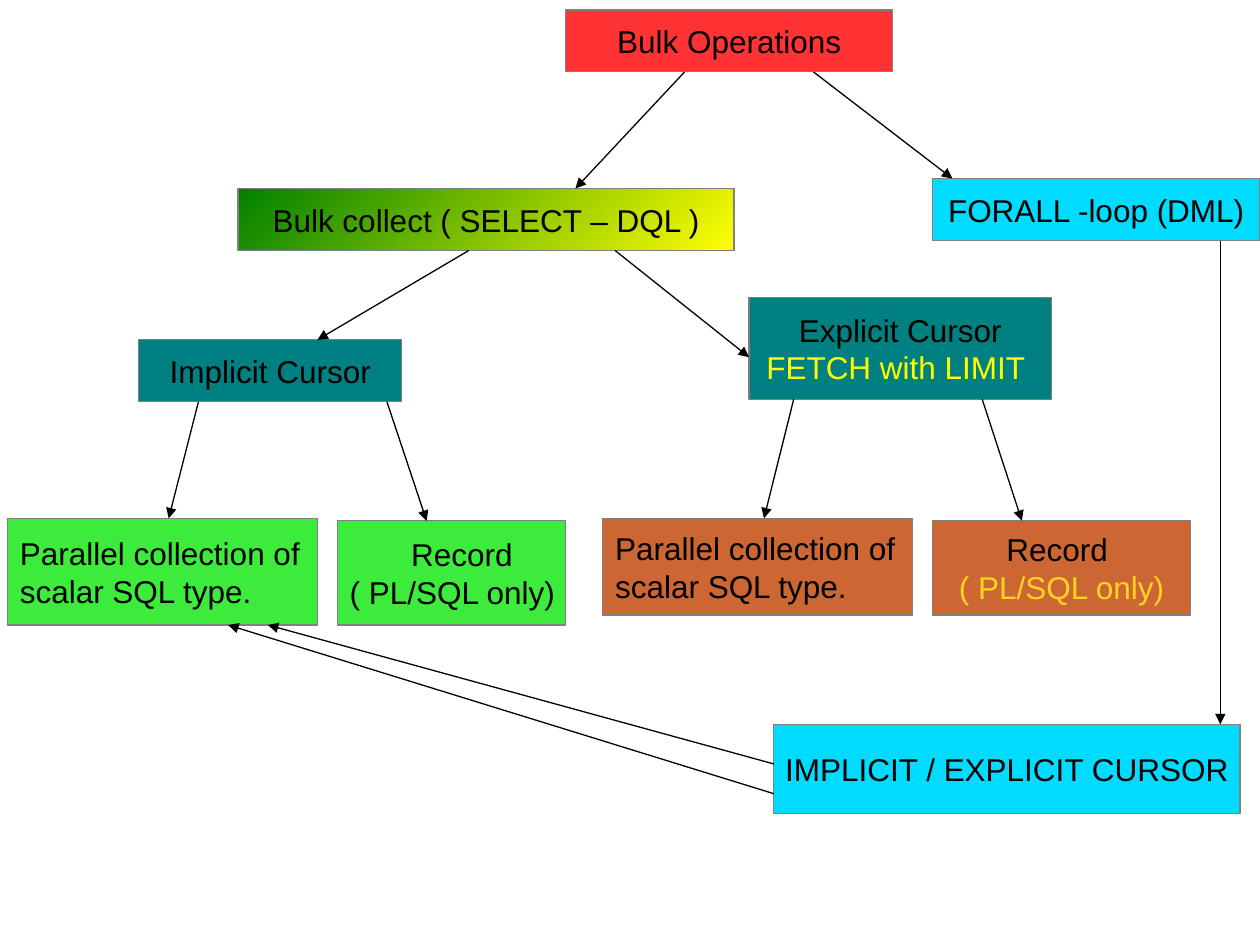
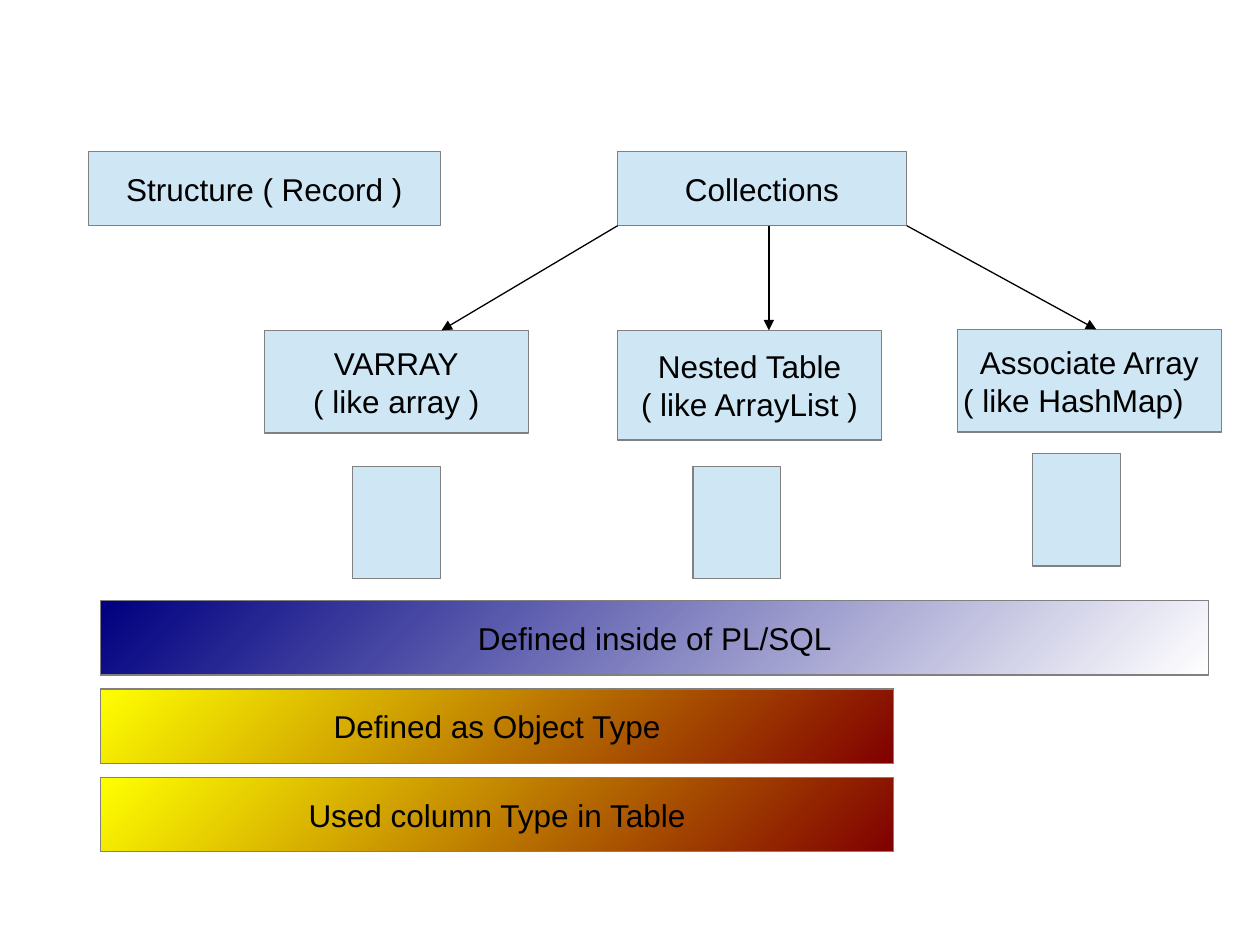
from dataclasses import dataclass

import lxml.etree
import pptx
import pptx.dml.color
import pptx.enum.shapes
import pptx.enum.text
import pptx.oxml.ns
import pptx.util

Cm = pptx.util.Cm
ALIGN = pptx.enum.text.PP_ALIGN


@dataclass(frozen=True)
class Theme:
    font: str = "Arial"
    size: int = 18
    line_width: float = 0.75
    ink: str = "000000"
    border: str = "808080"
    root: str = "FF3333"
    dml: str = "00DCFF"
    cursor: str = "008080"
    implicit: str = "3DEB3D"
    explicit: str = "CC6633"
    yellow: str = "FFFF00"
    gold: str = "FFD320"
    pale: str = "CFE7F5"
    collect_fade: tuple = ("008000", "FFFF00")
    plsql_fade: tuple = ("000080", "FFFFFF")
    object_fade: tuple = ("FFFF00", "800000")


THEME = Theme()


def rgb(value):
    return pptx.dml.color.RGBColor.from_string(value)


def write(p, text, color=THEME.ink, align=ALIGN.CENTER, left=0, right=0):
    """Fill a paragraph; left and right are its margins in cm."""
    p.alignment = align
    for name, margin in (("marL", left), ("marR", right)):
        if margin:
            p._p.get_or_add_pPr().set(name, str(Cm(margin)))
    for i, line in enumerate(text.split("\n")):
        if i:
            p.add_line_break()
        r = p.add_run()
        r.text = line
        r.font.name = THEME.font
        r.font.size = pptx.util.Pt(THEME.size)
        r.font.color.rgb = rgb(color)


def paint(fill, color):
    """Apply one colour, or a diagonal fade when given a pair."""
    if isinstance(color, str):
        fill.solid()
        fill.fore_color.rgb = rgb(color)
        return
    fill.gradient()
    fill.gradient_angle = 315
    for position, (stop, value) in enumerate(zip(fill.gradient_stops, color)):
        stop.position = position
        stop.color.rgb = rgb(value)


def box(s, x, y, w, h, color, *lines):
    """Each line is a string or a (string, format) pair."""
    sp = s.shapes.add_shape(pptx.enum.shapes.MSO_SHAPE.RECTANGLE,
                            Cm(x), Cm(y), Cm(w), Cm(h))
    sp.shadow.inherit = False
    paint(sp.fill, color)
    sp.line.color.rgb = rgb(THEME.border)
    sp.line.width = pptx.util.Pt(THEME.line_width)
    tf = sp.text_frame
    tf.word_wrap = False
    tf.vertical_anchor = pptx.enum.text.MSO_ANCHOR.MIDDLE
    for i, line in enumerate(lines):
        text, style = (line, {}) if isinstance(line, str) else line
        write(tf.add_paragraph() if i else tf.paragraphs[0], text, **style)
    return sp


def top(sp, x):
    return Cm(x), sp.top


def bottom(sp, x):
    return Cm(x), sp.top + sp.height


def left(sp, y):
    return sp.left, Cm(y)


def arrow(s, start, end):
    c = s.shapes.add_connector(pptx.enum.shapes.MSO_CONNECTOR.STRAIGHT, *start, *end)
    c.line.color.rgb = rgb(THEME.ink)
    c.line.width = pptx.util.Pt(THEME.line_width)
    qn = pptx.oxml.ns.qn
    lxml.etree.SubElement(c.line._get_or_add_ln(), qn("a:tailEnd"), type="triangle")
    lxml.etree.SubElement(c._element.spPr, qn("a:effectLst"))


def result_pair(s, x_parallel, x_record, w_record, heights, color, accent):
    """Add the two kinds of target a cursor can fetch into."""
    parallel = box(s, x_parallel, 10.45, 6.25, heights[0], color,
                   ("Parallel collection of\nscalar SQL type.", {"align": ALIGN.LEFT}))
    record = box(s, x_record, 10.5, w_record, heights[1], color,
                 ("Record", {"align": ALIGN.LEFT, "left": 1.24}),
                 ("( PL/SQL only)", {"color": accent}))
    return parallel, record


def bulk_operations(s):
    root = box(s, 11.4, 0.2, 6.6, 1.25, THEME.root, "Bulk Operations")
    collect = box(s, 4.8, 3.8, 10, 1.25, THEME.collect_fade,
                  "Bulk collect ( SELECT – DQL )")
    forall = box(s, 18.8, 3.6, 6.6, 1.25, THEME.dml, "FORALL -loop (DML)")
    implicit = box(s, 2.8, 6.85, 5.3, 1.25, THEME.cursor, "Implicit Cursor")
    explicit = box(s, 15.1, 6, 6.1, 2.05, THEME.cursor, "Explicit Cursor",
                   ("FETCH with LIMIT", {"color": THEME.yellow, "right": 0.18}))
    parallel, record = result_pair(s, 0.15, 6.8, 4.6, (2.15, 2.1),
                                   THEME.implicit, THEME.ink)
    fetch_parallel, fetch_record = result_pair(s, 12.15, 18.8, 5.2, (1.95, 1.9),
                                               THEME.explicit, THEME.gold)
    either = box(s, 15.6, 14.6, 9.4, 1.8, THEME.dml, "IMPLICIT / EXPLICIT CURSOR")

    for parent, x1, child, x2 in (
        (root, 13.8, collect, 11.6),
        (root, 16.4, forall, 19.2),
        (collect, 9.45, implicit, 6.4),
        (implicit, 4, parallel, 3.4),
        (implicit, 7.8, record, 8.6),
        (explicit, 16, fetch_parallel, 15.4),
        (explicit, 19.8, fetch_record, 20.6),
        (forall, 24.6, either, 24.6),
    ):
        arrow(s, bottom(parent, x1), top(child, x2))
    arrow(s, bottom(collect, 12.4), left(explicit, 7.2))
    for y, x in ((15.4, 5.4), (16, 4.6)):
        arrow(s, left(either, y), bottom(parallel, x))


def collection_types(s):
    box(s, 1.78, 3.05, 7.1, 1.5, THEME.pale, "Structure ( Record )")
    collections = box(s, 12.45, 3.05, 5.82, 1.5, THEME.pale, "Collections")
    for x, y, h, x1, x2, y_cell, lines in (
        (5.33, 6.66, 2.07, 12.45, 8.9, 9.4, ("VARRAY", "( like array )")),
        (12.45, 6.66, 2.21, 15.5, 15.5, 9.4, ("Nested Table", "( like ArrayList )")),
        (19.3, 6.64, 2.07, 18.28, 22.1, 9.14,
         ("Associate Array", ("( like HashMap)", {"right": 0.64}))),
    ):
        kind = box(s, x, y, 5.32, h, THEME.pale, *lines)
        box(s, x + (1.78 if x < 10 else 1.52), y_cell, 1.77, 2.27, THEME.pale)
        arrow(s, bottom(collections, x1), top(kind, x2))

    for i, (w, fade, text) in enumerate((
        (22.34, THEME.plsql_fade, "Defined inside of PL/SQL"),
        (15.98, THEME.object_fade, "Defined as Object Type"),
        (15.98, THEME.object_fade, "Used column Type in Table"),
    )):
        box(s, 2.03, 12.11 + 1.78 * i, w, 1.5, fade, text)


def main():
    prs = pptx.Presentation()
    prs.slide_width, prs.slide_height = Cm(25.4), Cm(19.05)
    for build in (bulk_operations, collection_types):
        build(prs.slides.add_slide(prs.slide_layouts[6]))
    prs.save("out.pptx")


if __name__ == "__main__":
    main()
